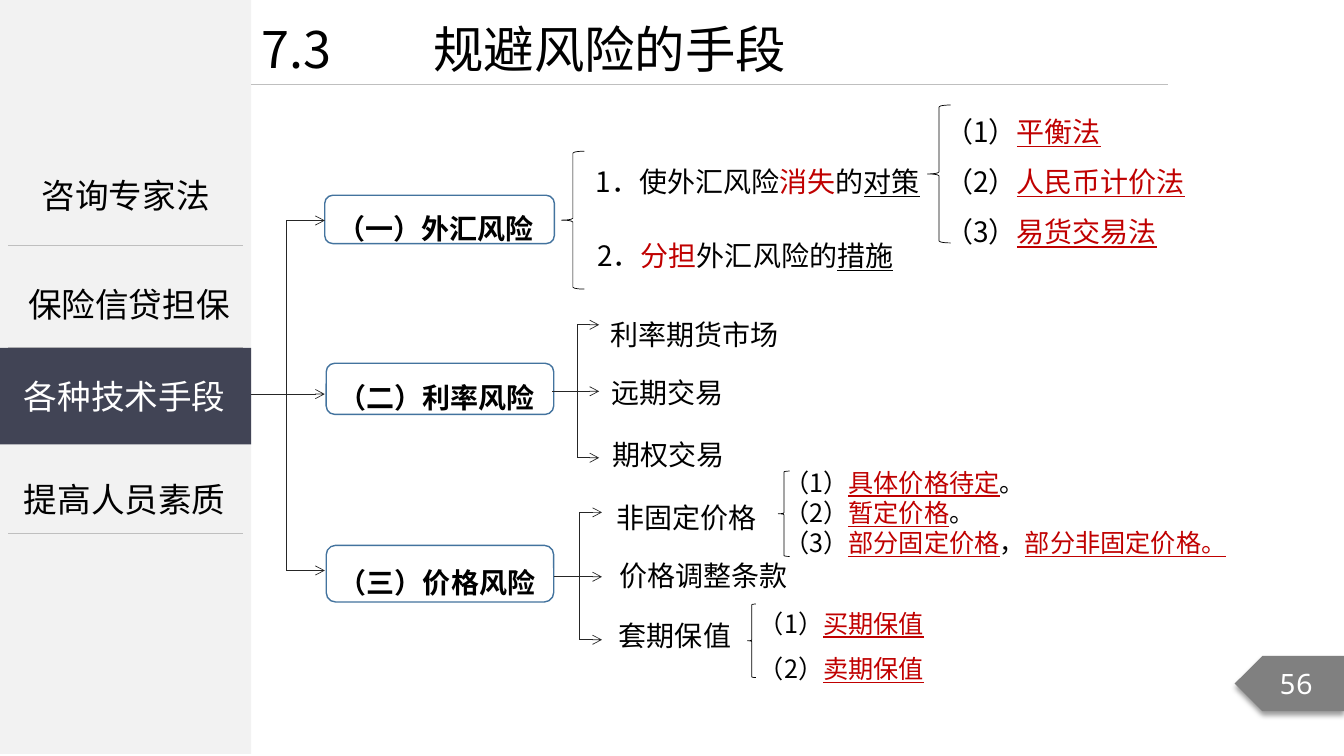
from dataclasses import dataclass

from lxml import etree
from pptx import Presentation
from pptx.dml.color import RGBColor
from pptx.enum.shapes import MSO_CONNECTOR, MSO_SHAPE
from pptx.enum.text import MSO_ANCHOR, MSO_AUTO_SIZE, PP_ALIGN
from pptx.oxml.ns import qn
from pptx.util import Pt

STRAIGHT = MSO_CONNECTOR.STRAIGHT
RECT, ROUNDED = MSO_SHAPE.RECTANGLE, MSO_SHAPE.ROUNDED_RECTANGLE
BRACE, TAG = MSO_SHAPE.LEFT_BRACE, MSO_SHAPE.PENTAGON
LEFT, CENTER = PP_ALIGN.LEFT, PP_ALIGN.CENTER
TOP, MIDDLE = MSO_ANCHOR.TOP, MSO_ANCHOR.MIDDLE
GROW = MSO_AUTO_SIZE.SHAPE_TO_FIT_TEXT


@dataclass(frozen=True)
class Theme:
    font: str = "Noto Sans CJK SC"
    number_font: str = "Noto Sans Mono"
    title: int = 36
    menu: int = 24
    body: int = 20
    detail: int = 18
    black: str = "000000"
    white: str = "FFFFFF"
    red: str = "C00000"
    panel: str = "F2F2F2"
    active: str = "414455"
    tag: str = "808080"
    divider: str = "BFBFBF"
    branch: str = "262626"
    outline: str = "43739E"


class Page:
    def __init__(self, slide, theme):
        self.shapes = slide.shapes
        self.theme = theme

    def shape(self, kind, box, fill=None, line=None, weight=0.5):
        item = self.shapes.add_shape(kind, *map(Pt, box))
        item.shadow.inherit = False
        if fill:
            item.fill.solid()
            item.fill.fore_color.rgb = RGBColor.from_string(fill)
        else:
            item.fill.background()
        if line:
            item.line.color.rgb = RGBColor.from_string(line)
            item.line.width = Pt(weight)
        else:
            item.line.fill.background()
        return item

    def brace(self, *box):
        self.shape(BRACE, box, line=self.theme.black)

    def line(self, x1, y1, x2, y2, color, arrow=False):
        item = self.shapes.add_connector(STRAIGHT, Pt(x1), Pt(y1), Pt(x2), Pt(y2))
        item.line.color.rgb = RGBColor.from_string(color)
        item.line.width = Pt(0.5)
        properties = item._element.spPr
        if arrow:
            etree.SubElement(properties.find(qn("a:ln")), qn("a:tailEnd"), type="arrow")
        etree.SubElement(properties, qn("a:effectLst"))

    def tree(self, start, trunk, tip, levels):
        """Draw a stem, a trunk and one arrow per level."""
        color = self.theme.branch
        middle = levels[len(levels) // 2]
        self.line(trunk, levels[0], trunk, levels[-1], color)
        self.line(start, middle, trunk, middle, color)
        for level in levels:
            self.line(trunk, level, tip, level, color, arrow=True)

    def label(self, item, paragraphs, size, color=None, align=LEFT, spacing=None,
              bold=False, anchor=MIDDLE, font=None):
        """Fill a shape; each paragraph is a list of (text, marks) spans.

        Marks: r for red, u for underlined.
        """
        frame = item.text_frame
        frame.word_wrap = True
        frame.vertical_anchor = anchor
        for index, spans in enumerate(paragraphs):
            para = frame.add_paragraph() if index else frame.paragraphs[0]
            para.alignment = align
            if spacing:
                para.line_spacing = spacing
            para.font.name = font or self.theme.font
            para.font.size = Pt(size)
            para.font.bold = bold
            defaults = para._p.get_or_add_pPr().find(qn("a:defRPr"))
            etree.SubElement(defaults, qn("a:ea"), typeface=font or self.theme.font)
            for text, marks in spans:
                span = para.add_run()
                span.text = text
                shade = self.theme.red if "r" in marks else color or self.theme.black
                span.font.color.rgb = RGBColor.from_string(shade)
                if "u" in marks:
                    span.font.underline = True
        return frame

    def text(self, box, paragraphs, size, wrap=True, anchor=TOP, **style):
        item = self.shapes.add_textbox(*map(Pt, box))
        frame = self.label(item, paragraphs, size, anchor=anchor, **style)
        frame.word_wrap = wrap
        if anchor == TOP:
            frame.auto_size = GROW
        return frame


def numbered(*entries):
    """Put （1）, （2）... before each list of spans."""
    return [[(f"（{number}）", "")] + spans for number, spans in enumerate(entries, 1)]


def main():
    theme = Theme()
    deck = Presentation()
    deck.slide_width, deck.slide_height = Pt(960), Pt(540)
    page = Page(deck.slides.add_slide(deck.slide_layouts[6]), theme)

    # Side panel with its menu
    page.shape(RECT, (-0.5, -1.5, 180, 540), fill=theme.panel)
    for y in (175.5, 248, 381):
        page.line(6, y, 173.5, y, theme.divider)
    page.text((-0.5, 105, 180.5, 69), [[("咨询专家法", "")]], theme.menu,
              align=CENTER, anchor=MIDDLE)
    for words, x, y in (("保险信贷担保", -1.5, 184.5), ("提高人员素质", -4.5, 324)):
        page.text((x, y, 187, 46), [[(words, "")]], theme.menu, align=CENTER, spacing=1.5)

    # Title, with a tab stop between number and words
    page.line(179.5, 60, 834, 60, theme.divider)
    title = page.text((179.5, 9.5, 507.5, 51), [[("7.3\t规避风险的手段", "")]], theme.title)
    settings = title.paragraphs[0]._p.get_or_add_pPr()
    stops = etree.Element(qn("a:tabLst"))
    etree.SubElement(stops, qn("a:tab"), pos=str(Pt(123)), algn="l")
    settings.find(qn("a:defRPr")).addprevious(stops)

    # Page number tag
    tag = page.shape(TAG, (882, 468.5, 78, 39.5), fill=theme.tag)
    tag._element.spPr.find(qn("a:xfrm")).set("flipH", "1")
    shadow = etree.SubElement(tag._element.spPr.find(qn("a:effectLst")), qn("a:outerShdw"),
                              blurRad=str(Pt(4)), dist=str(Pt(3)), dir="5400000")
    shade = etree.SubElement(shadow, qn("a:srgbClr"), val=theme.black)
    etree.SubElement(shade, qn("a:alpha"), val="40000")
    page.label(tag, [[("56", "")]], theme.body, color=theme.white, align=CENTER,
               font=theme.number_font)

    # Three kinds of risk
    risks = (("（一）外汇风险", (232, 139.5, 164, 34.5)),
             ("（二）利率风险", (233, 259.5, 162.5, 36.5)),
             ("（三）价格风险", (233, 389.5, 162.5, 40.5)))
    for words, box in risks:
        item = page.shape(ROUNDED, box, line=theme.outline, weight=1)
        page.label(item, [[(words, "")]], theme.body, spacing=1.5, bold=True)

    # Branches
    page.tree(175.5, 204.5, 232, (157.5, 281.5, 407.5))
    page.tree(394.5, 412.5, 428, (232, 279.5, 327))
    page.tree(396, 414, 430, (366, 412, 457))

    # Exchange risk
    page.brace(401, 108, 16.5, 98.5)
    page.text((418.5, 102, 255.5, 44),
              [[("1．使外汇风险", ""), ("消失", "r"), ("的", ""), ("对策", "u")]],
              theme.body, spacing=1.5)
    page.text((419.5, 166.5, 228.5, 31.5),
              [[("2．", ""), ("分担", "r"), ("外汇风险的", ""), ("措施", "u")]], theme.body)
    page.brace(662.5, 75, 16.5, 98.5)
    page.text((668, 66, 210, 116.5),
              numbered([("平衡法", "ru")], [("人民币计价法", "ru")], [("易货交易法", "ru")]),
              theme.body, spacing=1.5)

    # Means against interest and price risk
    means = (("利率期货市场", 429, 223, 135.5), ("远期交易", 429.5, 264.5, 95),
             ("期权交易", 430.5, 309, 95), ("非固定价格", 433.5, 354, 115),
             ("价格调整条款", 435.5, 395.5, 135.5), ("套期保值", 435, 438, 95))
    for words, x, y, width in means:
        page.text((x, y, width, 31.5), [[(words, "")]], theme.body, wrap=False)

    # Price details
    page.brace(556, 336.5, 8, 61)
    page.text((553, 330, 342.5, 72.5),
              numbered([("具体价格待定", "ru"), ("。", "")],
                       [("暂定价格", "ru"), ("。", "")],
                       [("部分固定价格", "ru"), ("，", ""), ("部分非固定价格。", "ru")]),
              theme.detail)
    page.brace(534, 431.5, 6, 52.5)
    page.text((535, 420, 165.5, 72.5),
              numbered([("买期保值", "ru")], [("卖期保值", "ru")]),
              theme.detail, spacing=1.5)

    # Active menu entry
    active = page.shape(RECT, (-1.5, 248.5, 181, 69), fill=theme.active)
    page.label(active, [[("各种技术手段", "")]], theme.menu, color=theme.white, align=CENTER)

    deck.save("out.pptx")


if __name__ == "__main__":
    main()
